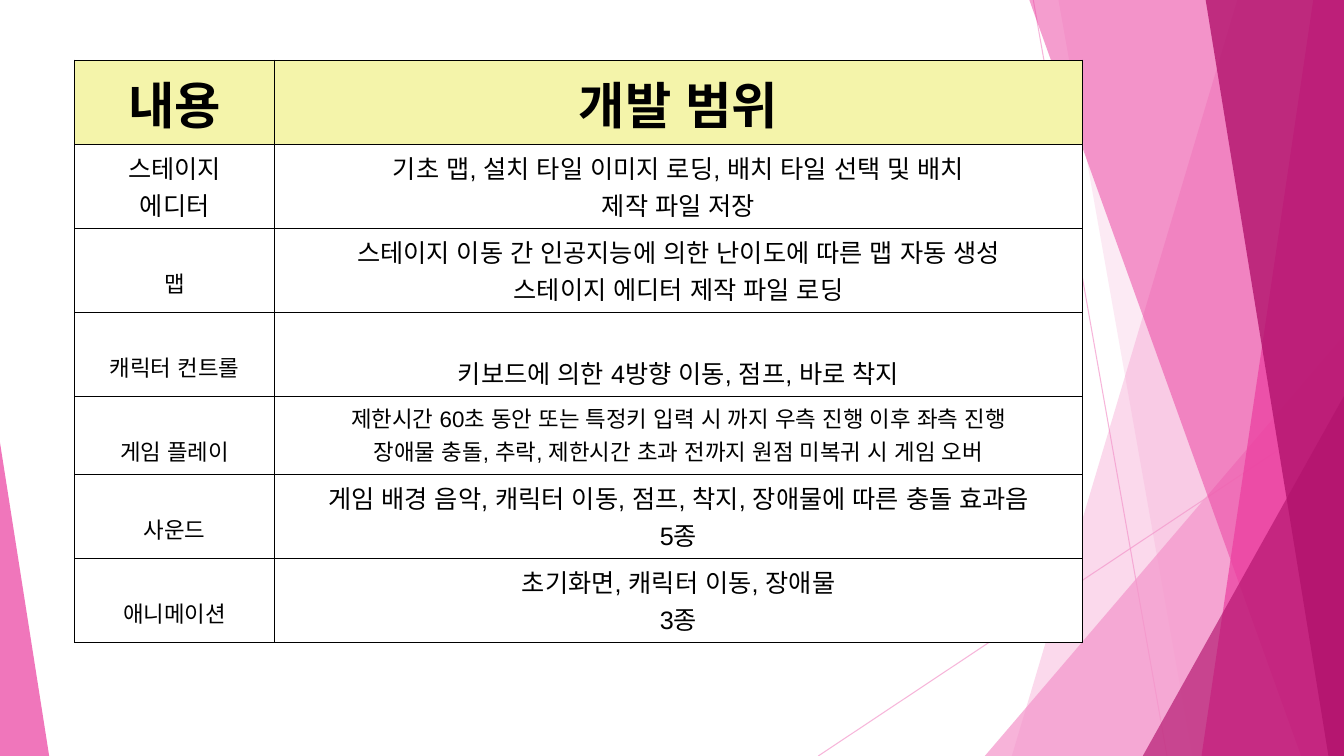
from lxml import etree
from pptx import Presentation
from pptx import util as u
from pptx.dml import color
from pptx.enum import lang, shapes, text
from pptx.oxml import ns

PINK, MAGENTA, WINE = "F496CB", "EB3D9F", "B2136D"
BLACK, WHITE, CREAM = "000000", "FFFFFF", "F4F4AA"
WIDTH, HEIGHT, TOP = 33.87, 19.05, -0.03


def paint(fill, shade, opacity=100):
    fill.solid()
    fill.fore_color.rgb = color.RGBColor.from_string(shade)
    if opacity < 100:
        tone = fill._xPr.find(f".//{ns.qn('a:srgbClr')}")
        etree.SubElement(tone, ns.qn("a:alpha"), val=str(opacity * 1000))


def write(para, words, size=18, bold=False):
    para.alignment = text.PP_ALIGN.CENTER
    span = para.add_run()
    span.text = words
    span.font.name = "Arial"
    span.font.size = u.Pt(size)
    span.font.bold = bold
    span.font.language_id = lang.MSO_LANGUAGE_ID.KOREAN
    paint(span.font.fill, BLACK)


deck = Presentation()
deck.slide_width, deck.slide_height = u.Cm(WIDTH), u.Cm(HEIGHT)
page = deck.slides.add_slide(deck.slide_layouts[6])

for ends in [(26.04, 0, 29.41, HEIGHT), (WIDTH, 10.24, 20.62, HEIGHT)]:
    ray = page.shapes.add_connector(shapes.MSO_CONNECTOR.STRAIGHT, *map(u.Cm, ends))
    ray.line.width = u.Pt(0.75)
    paint(ray.line.fill, PINK, 70)
    etree.SubElement(ray._element.spPr, ns.qn("a:effectLst"))

facets = [
    ("band", (31.19, 25.5), PINK, 36),
    ("band", (26.67, 30.05), PINK, 20),
    ("triangle", (24.82, 8.46, WIDTH, 1), PINK, 72),
    ("band", (25.93, 32.79), MAGENTA, 50),
    ("band", (33.1, 30.28), MAGENTA, 70),
    ("band", (30.38, 33.48), WINE, 80),
    ("triangle", (28.8, 9.98, WIDTH, 1), WINE, 66),
    ("triangle", (0, 11.15, 1.24, 0), MAGENTA, 70),
]
for kind, place, shade, opacity in facets:
    if kind == "band":
        upper, lower = place
        outline = page.shapes.build_freeform(u.Cm(upper), u.Cm(TOP))
        corners = [(WIDTH, TOP), (WIDTH, HEIGHT), (lower, HEIGHT)]
        outline.add_line_segments([(u.Cm(x), u.Cm(y)) for x, y in corners])
        facet = outline.convert_to_shape()
    else:
        left, top, right, apex = place
        facet = page.shapes.add_shape(
            shapes.MSO_SHAPE.ISOSCELES_TRIANGLE,
            u.Cm(left), u.Cm(top), u.Cm(right - left), u.Cm(HEIGHT - top))
        facet.adjustments[0] = apex
    paint(facet.fill, shade, opacity)
    facet.line.fill.background()
    facet.shadow.inherit = False

scope = [
    (["내용"], 36, ["개발 범위"], 36),
    (["스테이지", "에디터"], 18,
     ["기초 맵, 설치 타일 이미지 로딩, 배치 타일 선택 및 배치", "제작 파일 저장"], 18),
    (["맵"], 16,
     ["스테이지 이동 간 인공지능에 의한 난이도에 따른 맵 자동 생성",
      "스테이지 에디터 제작 파일 로딩"], 18),
    (["캐릭터 컨트롤"], 16, ["키보드에 의한 4방향 이동, 점프, 바로 착지"], 18),
    (["게임 플레이"], 16,
     ["제한시간 60초 동안 또는 특정키 입력 시 까지 우측 진행 이후 좌측 진행",
      "장애물 충돌, 추락, 제한시간 초과 전까지 원점 미복귀 시 게임 오버"], 16),
    (["사운드"], 16,
     ["게임 배경 음악, 캐릭터 이동, 점프, 착지, 장애물에 따른 충돌 효과음", "5종"], 18),
    (["애니메이션"], 16, ["초기화면, 캐릭터 이동, 장애물", "3종"], 18),
]
row_heights = [2.12, 2.12, 2.12, 2.12, 1.95, 2.12, 2.12]
column_widths = [5.04, 20.36]
second_line = {16: 0.96, 18: 1.04}

grid = page.shapes.add_table(
    len(scope), 2, u.Cm(1.88), u.Cm(1.52),
    u.Cm(sum(column_widths)), u.Cm(sum(row_heights))).table
for column, width in zip(grid.columns, column_widths):
    column.width = u.Cm(width)
for row, height, (topic, topic_size, details, detail_size) in zip(grid.rows, row_heights, scope):
    row.height = u.Cm(height)
    header = topic_size == 36
    for cell, lines, size in zip(row.cells, (topic, details), (topic_size, detail_size)):
        cell.margin_top = u.Cm(0.13)
        if len(lines) == 1 and not header:
            cell.margin_top = u.Cm(second_line[size])
        cell.vertical_anchor = text.MSO_ANCHOR.MIDDLE if header else text.MSO_ANCHOR.TOP
        for index, words in enumerate(lines):
            frame = cell.text_frame
            para = frame.add_paragraph() if index else frame.paragraphs[0]
            write(para, words, size, header)
        borders = cell._tc.get_or_add_tcPr()
        for side in ("lnL", "lnR", "lnT", "lnB"):
            edge = etree.SubElement(borders, ns.qn(f"a:{side}"), w=str(u.Pt(1)))
            ink = etree.SubElement(edge, ns.qn("a:solidFill"))
            etree.SubElement(ink, ns.qn("a:srgbClr"), val=BLACK)
        paint(cell.fill, CREAM if header else WHITE)

deck.save("out.pptx")
